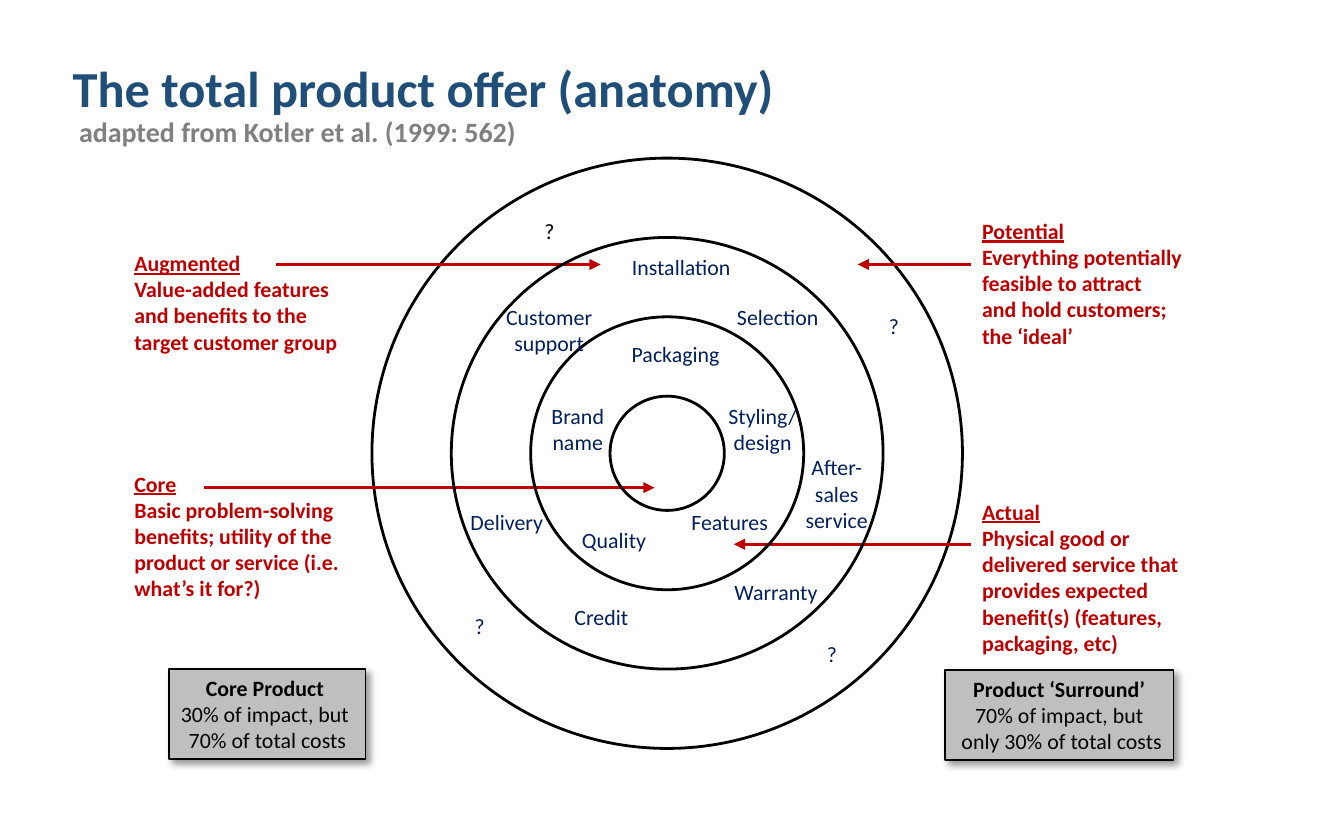
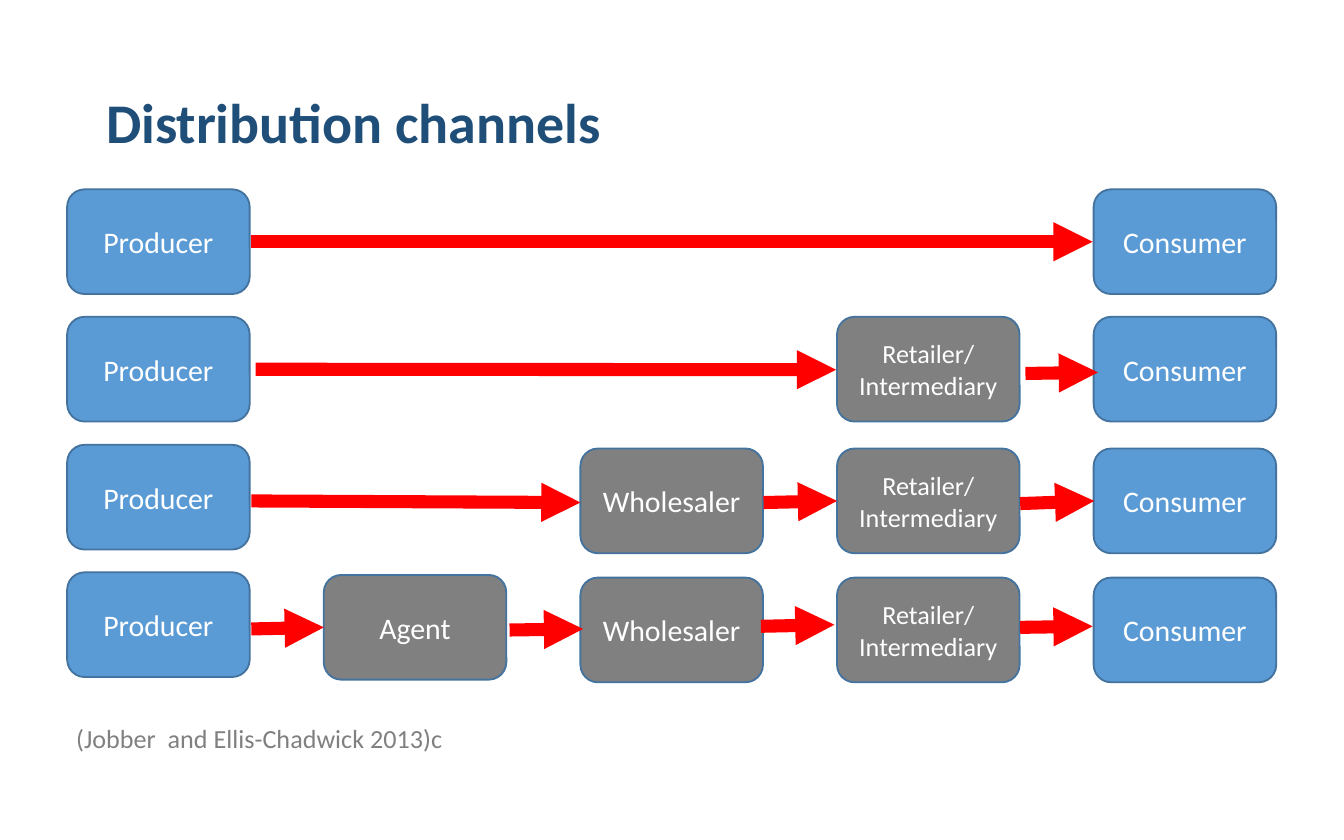
from dataclasses import dataclass

import lxml.etree
import pptx
import pptx.dml.color
import pptx.enum.shapes
import pptx.enum.text
import pptx.oxml.ns
import pptx.util

Cm = pptx.util.Cm
Pt = pptx.util.Pt
qn = pptx.oxml.ns.qn
Shape = pptx.enum.shapes.MSO_SHAPE
Align = pptx.enum.text.PP_ALIGN
Anchor = pptx.enum.text.MSO_ANCHOR
AutoSize = pptx.enum.text.MSO_AUTO_SIZE


@dataclass(frozen=True)
class Theme:
    font: str = "Calibri"
    # colours
    title: str = "1F4E79"
    grey: str = "808080"
    black: str = "000000"
    white: str = "FFFFFF"
    callout: str = "C00000"
    label: str = "002060"
    panel: str = "BFBFBF"
    party: str = "5B9BD5"
    party_edge: str = "43739E"
    flow: str = "FF0000"
    # type sizes
    anatomy_title_size: float = 27
    subtitle_size: float = 15
    channel_title_size: float = 30
    note_size: float = 11.7
    party_size: float = 16
    small_size: float = 14


THEME = Theme()

# Rings of the product anatomy, in centimetres
RING_CENTRE = (12.61, 8.57)
RING_CORE, RING_STEP = 1.08, 1.5

# text, left, top, width
CALLOUTS = [
    ("Potential\nEverything potentially\nfeasible to attract\n"
     "and hold customers;\nthe ‘ideal’", 18.36, 4.01, 4.24),
    ("Actual\nPhysical good or\ndelivered service that\nprovides expected\n"
     "benefit(s) (features,\npackaging, etc)", 18.36, 9.32, 4.17),
    ("Augmented\nValue-added features\nand benefits to the\n"
     "target customer group", 2.34, 4.62, 4.29),
    ("Core\nBasic problem-solving\nbenefits; utility of the\n"
     "product or service (i.e.\nwhat’s it for?)", 2.34, 8.79, 4.29),
]

# start x, end x, y
CALLOUT_ARROWS = [
    (18.36, 16.21, 5.0),
    (18.36, 13.87, 10.29),
    (5.21, 11.35, 5.0),
    (3.86, 12.37, 9.22),
]

# text, left, top, width, lines
LABELS = [
    ("Installation", 11.68, 4.67, 2.39, 1),
    ("Customer support", 9.3, 5.61, 2.16, 2),
    ("Selection", 13.67, 5.61, 2.06, 1),
    ("Packaging", 11.68, 6.32, 2.18, 1),
    ("Delivery", 8.64, 9.5, 1.88, 1),
    ("Credit", 10.59, 11.28, 1.55, 1),
    ("Warranty", 13.61, 10.82, 2.11, 1),
    ("Quality", 10.74, 9.83, 1.73, 1),
    ("Features", 12.8, 9.5, 1.98, 1),
    ("Brand name", 10.03, 7.49, 1.78, 2),
    ("After-sales service", 14.76, 8.46, 2.11, 3),
    ("Styling/\ndesign", 13.31, 7.49, 2.21, 2),
    ("?", 8.71, 11.46, 0.71, 1),
    ("?", 15.37, 11.99, 0.71, 1),
    ("?", 16.54, 5.79, 0.71, 1),
]

# text, left, top, width
PANELS = [
    ("Product ‘Surround’\n70% of impact, but\n only 30% of total costs",
     17.86, 12.67, 4.32),
    ("Core Product \n30% of impact, but \n70% of total costs",
     3.2, 12.65, 3.71),
]

# Channel grid: one column per party, one dictionary of box tops per channel
PARTIES = ["Producer", "Agent", "Wholesaler", "Retailer/\nIntermediary", "Consumer"]
RETAILER = PARTIES[3]
COLUMN_LEFT, COLUMN_STEP = 1.27, 4.85
CHANNELS = [
    {"Producer": 3.58, "Consumer": 3.58},
    {"Producer": 5.99, RETAILER: 5.99, "Consumer": 5.99},
    {"Producer": 8.41, "Wholesaler": 8.48, RETAILER: 8.48, "Consumer": 8.48},
    {"Producer": 10.82, "Agent": 10.87, "Wholesaler": 10.92, RETAILER: 10.92,
     "Consumer": 10.92},
]

# start x, start y, end x, end y
FLOWS = [
    (4.75, 4.57, 20.65, 4.57),
    (4.83, 6.98, 15.8, 6.99),
    (19.38, 7.06, 20.75, 7.04),
    (4.75, 9.47, 10.97, 9.5),
    (14.43, 9.5, 15.82, 9.47),
    (19.28, 9.52, 20.68, 9.47),
    (4.75, 11.89, 6.12, 11.86),
    (9.63, 11.91, 11.02, 11.89),
    (14.38, 11.84, 15.77, 11.81),
    (19.28, 11.86, 20.65, 11.84),
]


def rgb(code):
    return pptx.dml.color.RGBColor.from_string(code)


def format_para(para, size, color, bold=False, align=Align.LEFT):
    para.alignment = align
    for span in para.runs:
        span.font.name = THEME.font
        span.font.size = Pt(size)
        span.font.bold = bold
        span.font.color.rgb = rgb(color)


def write_text(frame, text, size, color, bold=False, align=Align.LEFT):
    frame.text = text
    for para in frame.paragraphs:
        format_para(para, size, color, bold, align)


def set_insets(frame, side, end):
    frame.margin_left = frame.margin_right = Cm(side)
    frame.margin_top = frame.margin_bottom = Cm(end)


def add_title(page, text, size, left, top, width):
    title = page.shapes.title
    title.left, title.top = Cm(left), Cm(top)
    title.width, title.height = Cm(width), Cm(3.07)
    frame = title.text_frame
    frame.auto_size = AutoSize.NONE
    frame.vertical_anchor = Anchor.MIDDLE
    write_text(frame, text, size, THEME.title, bold=True)
    for para in frame.paragraphs:
        para.line_spacing = 0.9
    return title


def add_text(page, text, left, top, width, height, size, color,
             bold=False, align=Align.LEFT, wrap=False):
    box = page.shapes.add_textbox(Cm(left), Cm(top), Cm(width), Cm(height))
    frame = box.text_frame
    frame.word_wrap = wrap
    frame.auto_size = AutoSize.SHAPE_TO_FIT_TEXT
    write_text(frame, text, size, color, bold, align)
    return box


def add_box(page, kind, left, top, width, height, fill, edge, weight):
    box = page.shapes.add_shape(kind, Cm(left), Cm(top), Cm(width), Cm(height))
    if fill:
        box.fill.solid()
        box.fill.fore_color.rgb = rgb(fill)
    else:
        box.fill.background()
    box.line.color.rgb = rgb(edge)
    box.line.width = Pt(weight)
    box.shadow.inherit = False
    return box


def add_arrow(page, start_x, start_y, end_x, end_y, color, weight):
    arrow = page.shapes.add_connector(
        pptx.enum.shapes.MSO_CONNECTOR.STRAIGHT,
        Cm(start_x), Cm(start_y), Cm(end_x), Cm(end_y))
    arrow.line.color.rgb = rgb(color)
    arrow.line.width = Pt(weight)
    properties = arrow.element.spPr
    lxml.etree.SubElement(properties.find(qn("a:ln")), qn("a:tailEnd"), type="triangle")
    lxml.etree.SubElement(properties, qn("a:effectLst"))


def add_ring(page, index, fill=None):
    radius = RING_CORE + RING_STEP * index
    x, y = RING_CENTRE
    add_box(page, Shape.OVAL, x - radius, y - radius, 2 * radius, 2 * radius,
            fill, THEME.black, 1.5)


def add_callout(page, text, left, top, width):
    height = 0.2 + 0.5 * len(text.split("\n"))
    box = add_text(page, text, left, top, width, height,
                   THEME.note_size, THEME.callout, bold=True)
    set_insets(box.text_frame, 0.2, 0.1)
    box.text_frame.paragraphs[0].runs[0].font.underline = True


def add_label(page, text, left, top, width, lines=1, color=THEME.label):
    add_text(page, text, left, top, width, 0.26 + 0.5 * lines, THEME.note_size,
             color, align=Align.CENTER, wrap=lines > 1)


def add_panel(page, text, left, top, width):
    box = add_box(page, Shape.RECTANGLE, left, top, width, 1.7,
                  THEME.panel, THEME.black, 1)
    frame = box.text_frame
    frame.word_wrap = False
    frame.vertical_anchor = Anchor.TOP
    set_insets(frame, 0.2, 0.1)
    write_text(frame, text, THEME.note_size, THEME.black, align=Align.CENTER)
    frame.paragraphs[0].runs[0].font.bold = True
    # soft shadow down to the right
    effects = box.element.spPr.find(qn("a:effectLst"))
    shadow = lxml.etree.SubElement(
        effects, qn("a:outerShdw"), blurRad=str(Pt(4)), dist=str(Pt(3)),
        dir="2700000", algn="tl", rotWithShape="0")
    color = lxml.etree.SubElement(shadow, qn("a:srgbClr"), val=THEME.black)
    lxml.etree.SubElement(color, qn("a:alpha"), val="40000")


def add_party(page, name, top):
    left = COLUMN_LEFT + COLUMN_STEP * PARTIES.index(name)
    fill = THEME.party if name in ("Producer", "Consumer") else THEME.grey
    size = THEME.small_size if name == RETAILER else THEME.party_size
    box = add_box(page, Shape.ROUNDED_RECTANGLE, left, top, 3.45, 1.98,
                  fill, THEME.party_edge, 1)
    box.text_frame.vertical_anchor = Anchor.MIDDLE
    write_text(box.text_frame, name, size, THEME.white, align=Align.CENTER)


def build_anatomy(page):
    title = add_title(
        page, "The total product offer (anatomy)\n adapted from Kotler et al. (1999: 562)",
        THEME.anatomy_title_size, 1.12, 0.48, 14.78)
    format_para(title.text_frame.paragraphs[1], THEME.subtitle_size, THEME.grey, bold=True)

    # Outer ring lies under the callouts, inner rings above them
    add_ring(page, 3, THEME.white)
    for callout in CALLOUTS:
        add_callout(page, *callout)
    for start_x, end_x, y in CALLOUT_ARROWS:
        add_arrow(page, start_x, y, end_x, y, THEME.callout, 1.5)
    for panel in PANELS:
        add_panel(page, *panel)
    for index in range(3):
        add_ring(page, index)
    for label in LABELS:
        add_label(page, *label)
    add_label(page, "?", 10.03, 3.99, 0.71, color=THEME.black)


def build_channels(page):
    add_title(page, "Distribution channels", THEME.channel_title_size, 1.75, 0.84, 21.9)
    for channel in CHANNELS:
        for name, top in channel.items():
            add_party(page, name, top)
    for flow in FLOWS:
        add_arrow(page, *flow, THEME.flow, 7)
    add_text(page, "(Jobber  and Ellis-Chadwick 2013)c", 1.19, 13.54, 7.49, 0.86,
             THEME.small_size, THEME.grey)


def main():
    deck = pptx.Presentation()
    deck.slide_width, deck.slide_height = Cm(25.4), Cm(15.88)
    title_only = deck.slide_layouts[5]
    for build in (build_anatomy, build_channels):
        build(deck.slides.add_slide(title_only))
    deck.save("out.pptx")


if __name__ == "__main__":
    main()
